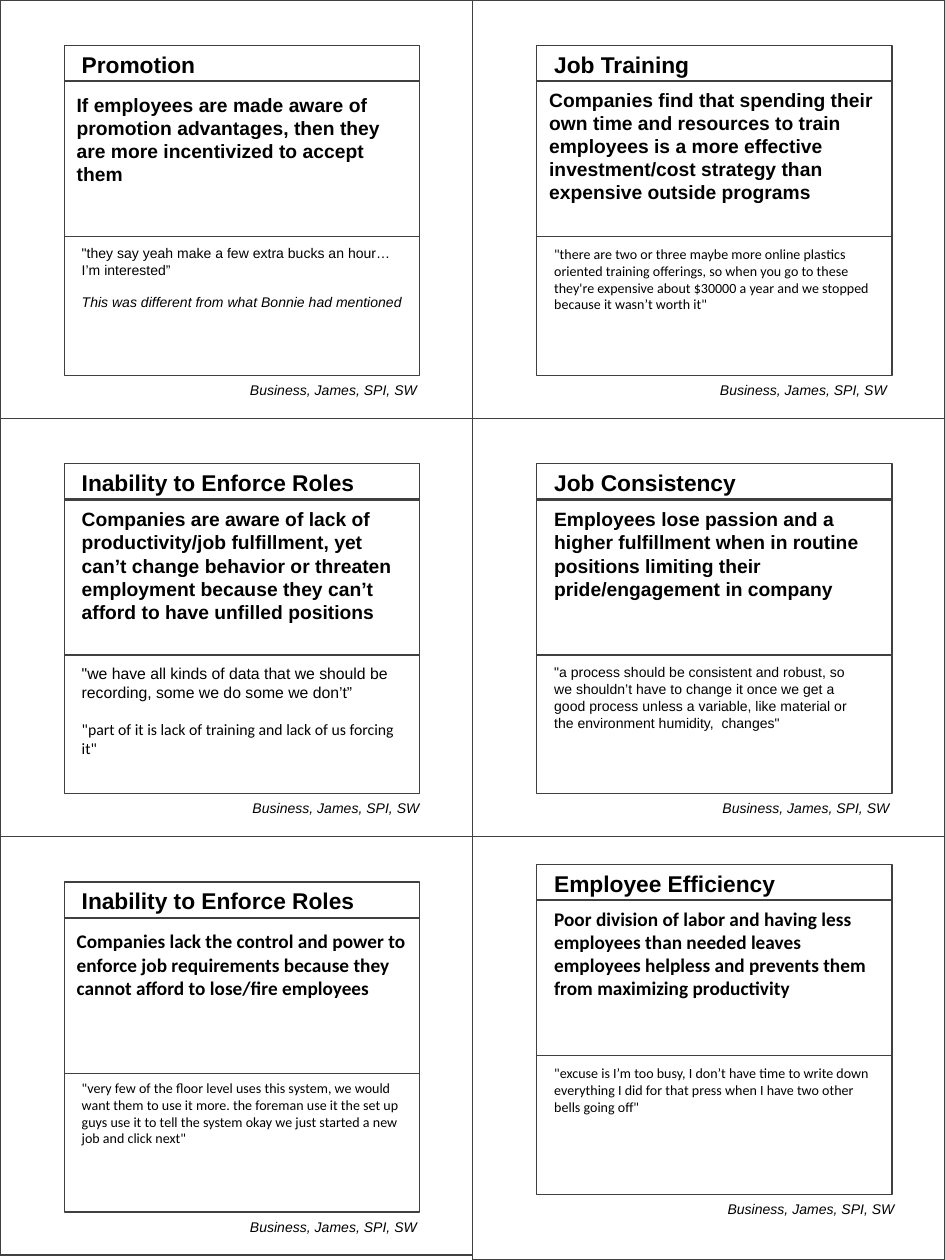
from dataclasses import dataclass

from pptx import Presentation
from pptx.dml.color import RGBColor
from pptx.enum.shapes import MSO_SHAPE
from pptx.enum.text import MSO_AUTO_SIZE, PP_ALIGN
from pptx.util import Inches, Pt

COLORS = {"line": "404040", "text": "000000"}
CELL_W, CELL_H = 3.75, 3.32
CARD_X, CARD_W = 0.51, 2.82
TITLE_H, CLAIM_H, QUOTE_H = 0.29, 1.24, 1.1
CLAIM_Y, QUOTE_Y, SOURCE_Y = 0.28, 1.52, 2.62
SOURCE = "Business, James, SPI, SW"


@dataclass
class Note:
    """One card; boxes are (x, y, width, height) from the card's corner."""
    title: str
    title_w: float
    claim: str
    claim_box: tuple
    quotes: list  # (text, format) pairs
    quote_box: tuple
    claim_font: str = "Arial"
    quote_size: int = 8
    source_x: float = 0.33
    card_y: float = 0.36
    cell_h: float = CELL_H


CALIBRI = {"font": "Calibri"}
NOTES = [
    Note("Promotion", 1.11,
         "If employees are made aware of promotion advantages, then they are "
         "more incentivized to accept them", (0, 0.33, 2.82, 0.84),
         [("\"they say yeah make a few extra bucks an hour…I’m interested”", {}),
          ("This was different from what Bonnie had mentioned", {"italic": True})],
         (0.04, 1.53, 2.78, 0.64)),
    Note("Job Training", 1.29,
         "Companies find that spending their own time and resources to train "
         "employees is a more effective investment/cost strategy than expensive "
         "outside programs", (0, 0.29, 2.82, 1.16),
         [("\"there are two or three maybe more online plastics oriented training "
           "offerings, so when you go to these they're expensive about $30000 a "
           "year and we stopped because it wasn’t worth it\"", CALIBRI)],
         (0.04, 1.54, 2.7, 0.64), source_x=0.31),
    Note("Inability to Enforce Roles", 2.39,
         "Companies are aware of lack of productivity/job fulfillment, yet can’t "
         "change behavior or threaten employment because they can’t afford to "
         "have unfilled positions", (0.04, 0.3, 2.77, 1.03),
         [("\"we have all kinds of data that we should be recording, some we do "
           "some we don’t”", {}),
          ("\"part of it is lack of training and lack of us forcing it\"", CALIBRI)],
         (0.04, 1.54, 2.78, 1.01), quote_size=9, source_x=0.35),
    Note("Job Consistency", 1.66,
         "Employees lose passion and a higher fulfillment when in routine "
         "positions limiting their pride/engagement in company",
         (0.04, 0.3, 2.7, 0.84),
         [("\"a process should be consistent and robust, so we shouldn’t have to "
           "change it once we get a good process unless a variable, like material "
           "or the environment humidity,  changes\"", {})],
         (0.04, 1.54, 2.61, 0.64)),
    Note("Inability to Enforce Roles", 2.39,
         "Companies lack the control and power to enforce job requirements "
         "because they cannot afford to lose/fire employees",
         (0, 0.33, 2.82, 0.66),
         [("\"very few of the floor level uses this system, we would want them to "
           "use it more. the foreman use it the set up guys use it to tell the "
           "system okay we just started a new job and click next\"", CALIBRI)],
         (0.04, 1.52, 2.78, 0.64), claim_font="Calibri"),
    Note("Employee Efficiency", 1.98,
         "Poor division of labor and having less employees than needed leaves "
         "employees helpless and prevents them from maximizing productivity",
         (0.04, 0.29, 2.7, 0.84),
         [("\"excuse is I’m too busy, I don’t have time to write down everything I "
           "did for that press when I have two other bells going off\"", CALIBRI)],
         (0.04, 1.54, 2.78, 0.5), claim_font="Calibri", source_x=0.37,
         card_y=0.22, cell_h=3.36),
]


def add_frame(s, x, y, w, h):
    sp = s.shapes.add_shape(MSO_SHAPE.RECTANGLE, Inches(x), Inches(y),
                            Inches(w), Inches(h))
    sp.shadow.inherit = False
    sp.fill.background()
    sp.line.color.rgb = RGBColor.from_string(COLORS["line"])
    sp.line.width = Pt(0.75)


def add_box(s, x, y, w, h, wrap=True):
    tf = s.shapes.add_textbox(Inches(x), Inches(y), Inches(w), Inches(h)).text_frame
    tf.word_wrap = wrap
    tf.auto_size = MSO_AUTO_SIZE.SHAPE_TO_FIT_TEXT
    return tf


def write(p, text, size=8, font="Arial", bold=False, italic=False,
          align=PP_ALIGN.LEFT, before=0):
    p.alignment = align
    p.space_before = Pt(before)
    r = p.add_run()
    r.text = text
    r.font.size = Pt(size)
    r.font.name = font
    r.font.bold = bold
    r.font.italic = italic
    r.font.color.rgb = RGBColor.from_string(COLORS["text"])


def add_note(s, note, col, row):
    cell_x, cell_y = col * CELL_W, row * CELL_H
    x, y = cell_x + CARD_X, cell_y + note.card_y
    add_frame(s, cell_x, cell_y, CELL_W, note.cell_h)
    for dy, h in ((0, TITLE_H), (CLAIM_Y, CLAIM_H), (QUOTE_Y, QUOTE_H)):
        add_frame(s, x, y + dy, CARD_W, h)

    tf = add_box(s, x + 0.04, y - 0.01, note.title_w, 0.32, wrap=False)
    write(tf.paragraphs[0], note.title, size=13, bold=True)

    dx, dy, w, h = note.claim_box
    tf = add_box(s, x + dx, y + dy, w, h)
    write(tf.paragraphs[0], note.claim, size=11, font=note.claim_font, bold=True)

    dx, dy, w, h = note.quote_box
    tf = add_box(s, x + dx, y + dy, w, h)
    for i, (text, style) in enumerate(note.quotes):
        p = tf.add_paragraph() if i else tf.paragraphs[0]
        gap = round(note.quote_size * 1.15, 1) if i else 0
        write(p, text, size=note.quote_size, before=gap, **style)

    tf = add_box(s, cell_x + note.source_x, y + SOURCE_Y, 3.08, 0.24)
    write(tf.paragraphs[0], SOURCE, italic=True, align=PP_ALIGN.RIGHT)


def main():
    prs = Presentation()
    prs.slide_width, prs.slide_height = Inches(7.5), Inches(10)
    s = prs.slides.add_slide(prs.slide_layouts[6])
    for i, note in enumerate(NOTES):
        row, col = divmod(i, 2)
        add_note(s, note, col, row)
    prs.save("out.pptx")


if __name__ == "__main__":
    main()
